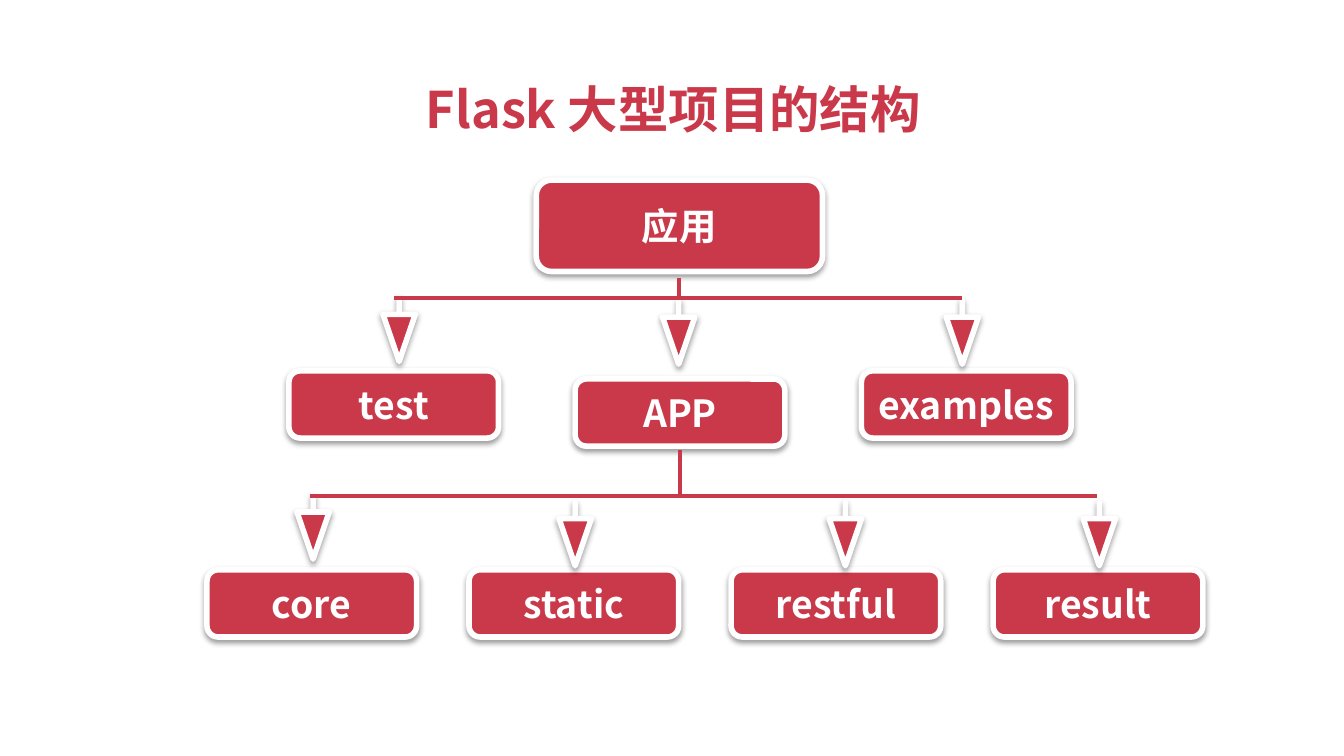
from lxml import etree
from pptx import Presentation
from pptx.dml.color import RGBColor
from pptx.enum.shapes import MSO_CONNECTOR as CONN, MSO_SHAPE as SHAPE
from pptx.enum.text import MSO_ANCHOR as ANCHOR, PP_ALIGN as ALIGN
from pptx.oxml.ns import qn
from pptx.util import Inches, Pt

COLORS = {"red": "C9394A", "white": "FFFFFF", "shadow": "000000"}
FONT = "Noto Sans CJK SC"


def rgb(name):
    return RGBColor.from_string(COLORS[name])


def write(tf, text, size=20, color="white", anchor=ANCHOR.MIDDLE):
    tf.word_wrap = True
    tf.vertical_anchor = anchor
    tf.margin_left = tf.margin_right = Inches(0.05)
    tf.margin_top = tf.margin_bottom = Inches(0.05)
    p = tf.paragraphs[0]
    p.alignment = ALIGN.CENTER
    r = p.add_run()
    r.text = text
    r.font.size, r.font.bold, r.font.name = Pt(size), True, FONT
    r.font.color.rgb = rgb(color)
    # The East Asian typeface needs its own element
    etree.SubElement(r.font._element, qn("a:ea")).set("typeface", FONT)


class Diagram:
    def __init__(self, slide):
        self.s = slide

    def title(self, text, x, y, w, h):
        sp = self.s.shapes.title
        sp.left, sp.top, sp.width, sp.height = map(Inches, (x, y, w, h))
        write(sp.text_frame, text, size=27, color="red", anchor=ANCHOR.TOP)

    def finish(self, sp):
        """Red fill, white outline and a soft shadow below."""
        sp.fill.solid()
        sp.fill.fore_color.rgb = rgb("red")
        sp.line.color.rgb = rgb("white")
        sp.line.width = Pt(3)
        sp.shadow.inherit = False
        effects = sp._element.spPr.find(qn("a:effectLst"))
        shadow = etree.SubElement(effects, qn("a:outerShdw"), blurRad=str(Pt(3)),
                                  dist=str(Pt(1.6)), dir="5400000", rotWithShape="0")
        color = etree.SubElement(shadow, qn("a:srgbClr"), val=COLORS["shadow"])
        etree.SubElement(color, qn("a:alpha"), val="38000")

    def box(self, text, x, y, w=1.56, h=0.5):
        sp = self.s.shapes.add_shape(SHAPE.ROUNDED_RECTANGLE,
                                     *map(Inches, (x, y, w, h)))
        self.finish(sp)
        write(sp.text_frame, text)

    def arrow(self, x, y):
        """Down arrow whose stem starts at x, y."""
        neck, half = y + 0.12, 0.12
        points = [(x, neck), (x, y), (x, neck), (x + half, neck), (x, y + 0.47)]
        fb = self.s.shapes.build_freeform(Inches(x - half), Inches(neck), scale=1.0)
        fb.add_line_segments([(Inches(a), Inches(b)) for a, b in points], close=True)
        self.finish(fb.convert_to_shape())

    def line(self, x1, y1, x2, y2):
        c = self.s.shapes.add_connector(CONN.STRAIGHT, *map(Inches, (x1, y1, x2, y2)))
        c.line.color.rgb = rgb("red")
        c.line.width = Pt(2)
        etree.SubElement(c._element.spPr, qn("a:effectLst"))


def main():
    prs = Presentation()
    prs.slide_width = Inches(10)
    prs.slide_height = prs.slide_width * 9 // 16
    d = Diagram(prs.slides.add_slide(prs.slide_layouts[5]))

    d.title("Flask 大型项目的结构", 0.51, 0.53, 9, 0.63)

    # Boxes, level by level
    d.box("应用", 3.99, 1.34, 2.13, 0.68)
    for i, (name, y) in enumerate([("test", 2.76), ("APP", 2.82), ("examples", 2.76)]):
        d.box(name, 2.15 + 2.13 * i, y)
    for i, name in enumerate(["core", "static", "restful", "result"]):
        d.box(name, 1.54 + 1.95 * i, 4.24)

    # Arrows into the boxes
    for x, y in [(2.97, 2.22), (5.05, 2.24), (7.16, 2.24),
                 (2.33, 3.69), (4.28, 3.74), (6.29, 3.74), (8.18, 3.74)]:
        d.arrow(x, y)

    # Branch lines: trunk and crossbar of each level
    d.line(5.06, 3.35, 5.06, 3.69)
    d.line(2.31, 3.69, 8.16, 3.69)
    d.line(2.93, 2.22, 7.16, 2.22)
    d.line(5.05, 2.07, 5.05, 2.21)

    prs.save("out.pptx")


if __name__ == "__main__":
    main()
